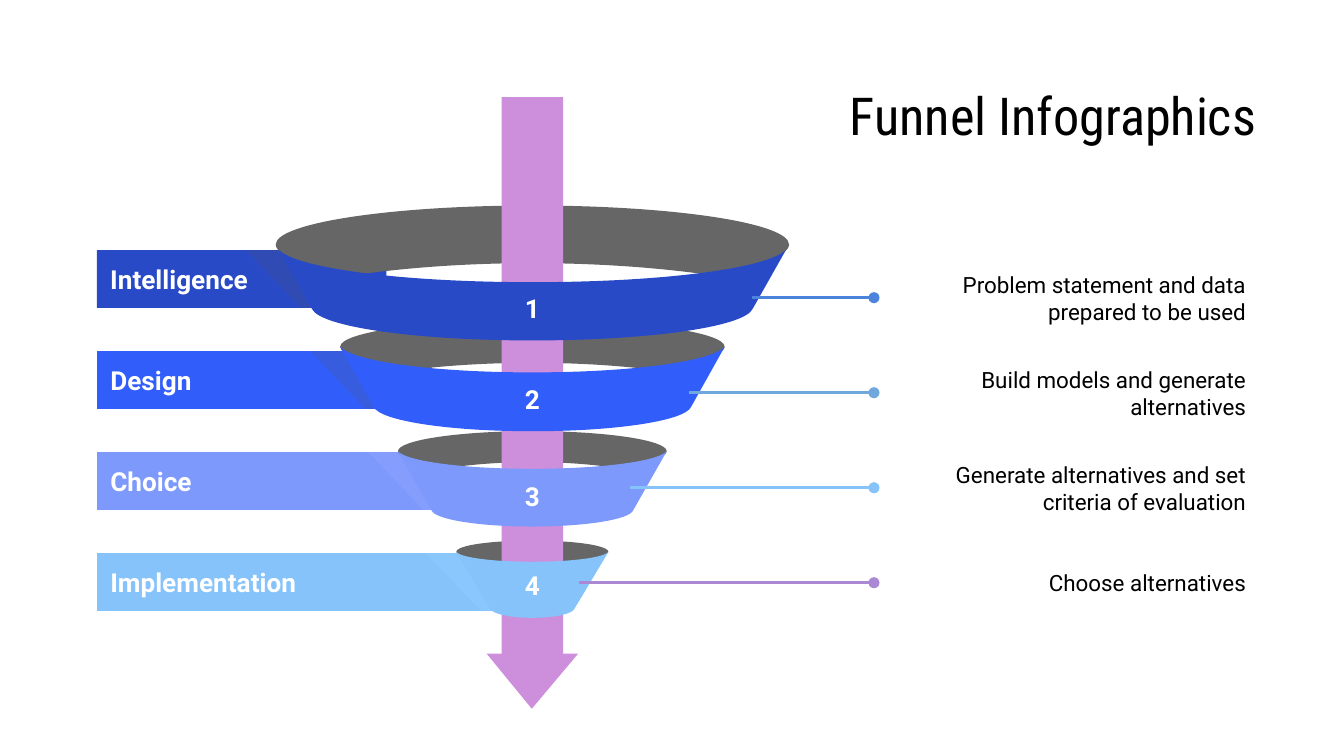
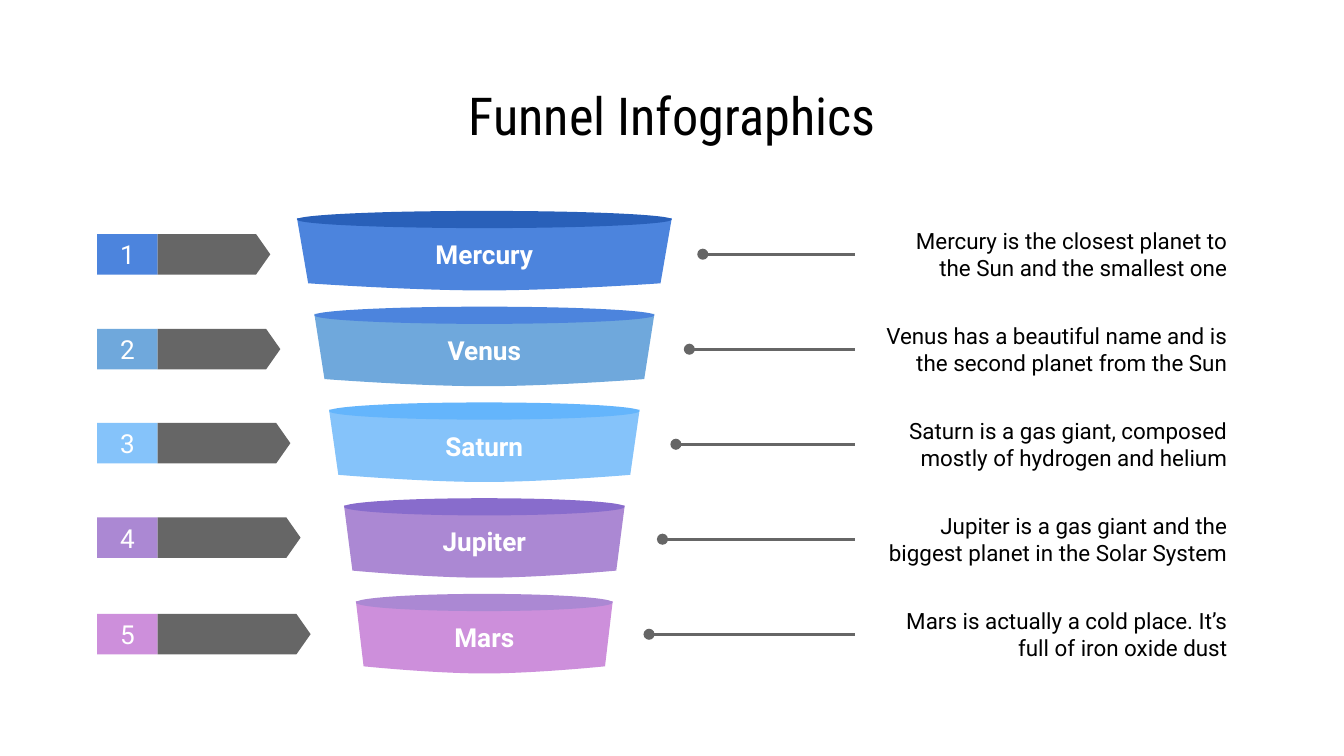
import dataclasses
import math

import lxml.etree
import pptx
import pptx.dml.color
import pptx.enum.shapes
import pptx.enum.text
import pptx.oxml.ns
import pptx.util

Pt = pptx.util.Pt
qn = pptx.oxml.ns.qn
SHAPES = pptx.enum.shapes.MSO_SHAPE
ALIGN = pptx.enum.text.PP_ALIGN


@dataclasses.dataclass(frozen=True)
class Theme:
    black: str = "000000"
    white: str = "FFFFFF"
    gray: str = "666666"
    shade: str = "595959"
    royal: str = "284AC7"
    bright: str = "315DFA"
    periwinkle: str = "7D99FB"
    periwinkle_fold: str = "859EFE"
    sky_fold: str = "89C7FD"
    navy: str = "2960B9"
    blue: str = "4C84DD"
    steel: str = "6FA8DC"
    sky: str = "85C3FA"
    deep_sky: str = "64B5FC"
    purple: str = "AB88D3"
    violet: str = "886CCC"
    orchid: str = "CD8FDB"
    title_font: str = "Roboto Condensed"
    body_font: str = "Roboto"
    title_size: float = 28
    label_size: float = 14
    note_size: float = 12
    line_width: float = 1.5


@dataclasses.dataclass(frozen=True)
class Box:
    left: float
    top: float
    width: float
    height: float

    @property
    def center(self):
        return self.left + self.width / 2

    @property
    def middle(self):
        return self.top + self.height / 2

    def lengths(self):
        return [Pt(value) for value in dataclasses.astuple(self)]


THEME = Theme()
INSET = 7.2
# Bezier handles of the right half of the top and foot edges, as shares of half width and depth
BOWL_CURVES = (((0.93, 0.58), (0.51, 1)), ((0.96, 0.57), (0.53, 1)))
CUP_CURVES = (((1, 0), (0.38, 1)), ((1, 0), (0.42, 1)))


def centered_box(center, top, half_width, height):
    return Box(center - half_width, top, 2 * half_width, height)


def set_attributes(target, values):
    for name, value in values.items():
        setattr(target, name, value)


def write(shape, text, align=ALIGN.CENTER, font=THEME.body_font, size=THEME.label_size,
          colour=THEME.white, bold=False, left=INSET, top=INSET, right=INSET):
    frame = shape.text_frame
    set_attributes(frame, {
        "word_wrap": True,
        "auto_size": pptx.enum.text.MSO_AUTO_SIZE.NONE,
        "vertical_anchor": pptx.enum.text.MSO_ANCHOR.MIDDLE,
        "margin_left": Pt(left),
        "margin_top": Pt(top),
        "margin_right": Pt(right),
        "margin_bottom": Pt(INSET),
    })
    paragraph = frame.paragraphs[0]
    paragraph.alignment = align
    run = paragraph.add_run()
    run.text = text
    set_attributes(run.font, {"name": font, "size": Pt(size), "bold": bold})
    run.font.color.rgb = pptx.dml.color.RGBColor.from_string(colour)


def paint(shape, colour, opacity=None):
    shape.shadow.inherit = False
    shape.line.fill.background()
    shape.fill.solid()
    shape.fill.fore_color.rgb = pptx.dml.color.RGBColor.from_string(colour)
    if opacity:
        solid = shape.fill._xPr.find(qn("a:solidFill"))
        lxml.etree.SubElement(solid[0], qn("a:alpha"), val=str(opacity * 1000))
    return shape


def add_preset(slide, kind, box, colour):
    return paint(slide.shapes.add_shape(kind, *box.lengths()), colour)


def add_outline(slide, start, segments, colour, opacity=None):
    """A closed outline; a segment of one point is a line, one of three points a Bezier curve."""
    builder = slide.shapes.build_freeform(Pt(start[0]), Pt(start[1]))
    builder.add_line_segments([(Pt(x), Pt(y)) for segment in segments for x, y in segment],
                              close=True)
    shape = builder.convert_to_shape()
    lines = iter(list(shape._element.iter(qn("a:lnTo"))))
    for segment in segments:
        first = next(lines)
        if len(segment) == 3:
            curve = lxml.etree.Element(qn("a:cubicBezTo"))
            first.addprevious(curve)
            for line in (first, next(lines), next(lines)):
                curve.append(line[0])
                line.getparent().remove(line)
    return paint(shape, colour, opacity)


def sagging_edge(center, top, half_width, depth, curve):
    """Two curves from center + half_width to center - half_width, hanging by depth."""
    (x1, y1), (x2, y2) = curve
    handle, low_handle = (x1 * half_width, top + y1 * depth), (x2 * half_width, top + y2 * depth)
    right = [handle, low_handle, (0, top + depth)]
    left = [(-low_handle[0], low_handle[1]), (-handle[0], handle[1]), (-half_width, top)]
    return [[(center + x, y) for x, y in segment] for segment in (right, left)]


def add_vessel(slide, box, taper, top_depth, foot_depth, curves, colour):
    """A tapered band with a sagging top and foot."""
    half_width = box.width / 2
    foot_half = half_width - taper
    foot = box.top + box.height - foot_depth
    top_curve, foot_curve = curves
    segments = [
        *sagging_edge(box.center, box.top, half_width, top_depth, top_curve),
        [(box.center - foot_half, foot)],
        *sagging_edge(box.center, foot, -foot_half, foot_depth, foot_curve),
    ]
    return add_outline(slide, (box.center + half_width, box.top), segments, colour)


def add_rim(slide, box, notch, hollow):
    """The inner wall above a bowl, hollowed out between its notches."""
    if not hollow:
        add_preset(slide, SHAPES.OVAL, box, THEME.gray)
        return
    angle = math.acos(notch)
    handle = 4 / 3 * math.tan(angle / 4)
    depth = math.sin(angle)
    gap = 2 * hollow / box.height
    quarter = 0.55
    left_half = [
        [(-quarter, -1), (-1, -quarter), (-1, 0)],
        [(-1, handle), (-notch - handle * depth, depth - handle * notch), (-notch, depth)],
        [(-0.73 * notch, gap + 0.43 * (depth - gap)), (-0.39 * notch, gap), (0, gap)],
    ]
    points = [(0, -1)] + [point for segment in left_half for point in segment]
    mirrored = [(-x, y) for x, y in reversed(points)][1:]
    around = points[1:] + mirrored
    placed = [(box.center + x * box.width / 2, box.middle + y * box.height / 2)
              for x, y in around]
    segments = [placed[index:index + 3] for index in range(0, len(placed), 3)]
    add_outline(slide, (box.center, box.top), segments, THEME.gray)


def add_slide(presentation, title_box):
    slide = presentation.slides.add_slide(presentation.slide_layouts.get_by_name("Title Only"))
    title = slide.shapes.title
    set_attributes(title, dict(zip(("left", "top", "width", "height"), title_box.lengths())))
    write(title, "Funnel Infographics", font=THEME.title_font, size=THEME.title_size,
          colour=THEME.black)
    return slide


def add_note(slide, box, text, line_end, colour, dot):
    """A right-aligned note with a leader line; dot names the end with the oval."""
    note = slide.shapes.add_textbox(*box.lengths())
    write(note, text, ALIGN.RIGHT, size=THEME.note_size, colour=THEME.black, left=14.4, right=10.8)
    leader = slide.shapes.add_connector(
        pptx.enum.shapes.MSO_CONNECTOR.STRAIGHT,
        Pt(box.left), Pt(box.middle), Pt(line_end), Pt(box.middle))
    leader.begin_connect(note, 1)
    leader.line.width = Pt(THEME.line_width)
    leader.line.color.rgb = pptx.dml.color.RGBColor.from_string(colour)
    lxml.etree.SubElement(leader.line._get_or_add_ln(), qn(f"a:{dot}"), type="oval")
    lxml.etree.SubElement(leader._element.spPr, qn("a:effectLst"))


def add_stage_label(slide, box, text, colour, fold_left, fold_colour, fold_opacity):
    label = add_preset(slide, SHAPES.RECTANGLE, box, colour)
    write(label, text, ALIGN.LEFT, bold=True)
    bottom = box.top + box.height
    add_outline(slide, (fold_left, box.top),
                [[(fold_left + 29.5, bottom)], [(fold_left + 35.5, bottom)],
                 [(fold_left + 18.7, box.top)]], fold_colour, fold_opacity)


def add_down_arrow(slide, box):
    head_height, shaft_width, overlap = 29.5, 33, 0.7
    add_preset(slide, SHAPES.RECTANGLE,
               centered_box(box.center, box.top, shaft_width / 2,
                            box.height - head_height + overlap), THEME.orchid)
    head = add_preset(slide, SHAPES.ISOSCELES_TRIANGLE,
                      Box(box.left, box.top + box.height - head_height, box.width, head_height),
                      THEME.orchid)
    head.rotation = 180
    head.adjustments[0] = 0.507


def build_bowl_slide(presentation):
    slide = add_slide(presentation, Box(429, 42.5, 270, 38))
    center = 285.2
    # text, colour, width, fold left, fold colour, fold opacity
    labels = [
        ("Intelligence", THEME.royal, 155, 131.8, THEME.shade, 17),
        ("Design", THEME.bright, 179.3, 166.3, THEME.shade, 17),
        ("Choice", THEME.periwinkle, 188.6, 197.3, THEME.periwinkle_fold, None),
        ("Implementation", THEME.sky, 217.4, 228.2, THEME.sky_fold, None),
    ]
    # half width, middle, half height, notch, hollow
    rims = [(137.5, 131, 20.9, 0.66, 10), (103, 185.8, 14.4, 0.58, 8.6),
            (72, 241.8, 10.8, 0.6, 5.8), (40.7, 295.6, 6, None, None)]
    # half width, top, height, top depth, foot depth, number inset
    bowls = [(136, 133.7, 48.7, 17.5, 16.8, 21.6), (103, 185.8, 45.2, 13.7, 13, 18),
             (72, 241.8, 40.3, 9.4, 8.6, 14.4), (40.7, 295.8, 35.2, 5.2, 5, INSET)]
    # text, line end, line colour
    notes = [
        ("Problem statement and data prepared to be used", 402.9, THEME.blue),
        ("Build models and generate alternatives", 369.1, THEME.steel),
        ("Generate alternatives and set criteria of evaluation", 337.7, THEME.sky),
        ("Choose alternatives", 310.3, THEME.purple),
    ]
    for index, (text, colour, width, *fold) in enumerate(labels):
        add_stage_label(slide, Box(52, 134 + 54.1 * index, width, 31), text, colour, *fold)
    for half_width, middle, half_height, notch, hollow in rims:
        add_rim(slide, centered_box(center, middle - half_height, half_width, 2 * half_height),
                notch, hollow)
    add_outline(slide, (304, 182), [[(280, 182)], [(304, 192)]], THEME.gray)
    add_down_arrow(slide, centered_box(center, 52, 24.5, 327.7))
    for index, (half_width, top, height, top_depth, foot_depth, inset) in enumerate(bowls):
        bowl = add_vessel(slide, centered_box(center, top, half_width, height), 18,
                          top_depth, foot_depth, BOWL_CURVES, labels[index][1])
        write(bowl, str(index + 1), bold=True, top=inset)
    for index, (text, line_end, colour) in enumerate(notes):
        add_note(slide, Box(468.2, 138 + 50.9 * index, 210.2, 43), text, line_end, colour,
                 "headEnd")


def add_number_tag(slide, box, number, colour):
    square_width = 32.5
    square = add_preset(slide, SHAPES.RECTANGLE,
                        Box(box.left, box.top, square_width, box.height), colour)
    write(square, str(number))
    pointer = add_preset(slide, SHAPES.PENTAGON,
                         Box(box.left + square_width, box.top, box.width - square_width,
                             box.height), THEME.gray)
    pointer.adjustments[0] = 0.35


def add_cup(slide, box, text, colour, lid_colour):
    lid_rise, lid_height, sag = 3.8, 9.2, 3.8
    body = add_vessel(slide, Box(box.left, box.top + lid_rise, box.width, box.height - lid_rise),
                      0.03 * box.width, sag, sag, CUP_CURVES, colour)
    write(body, text, bold=True)
    add_preset(slide, SHAPES.OVAL, Box(box.left, box.top, box.width, lid_height), lid_colour)


def build_cup_slide(presentation):
    slide = add_slide(presentation, Box(225, 42.5, 270, 38))
    # name, colour, lid colour, half width, tag top, note
    planets = [
        ("Mercury", THEME.blue, THEME.navy, 100.4, 125.4,
         "Mercury is the closest planet to the Sun and the smallest one"),
        ("Venus", THEME.steel, THEME.blue, 91.1, 176.2,
         "Venus has a beautiful name and is the second planet from the Sun"),
        ("Saturn", THEME.sky, THEME.deep_sky, 83.2, 226.6,
         "Saturn is a gas giant, composed mostly of hydrogen and helium"),
        ("Jupiter", THEME.purple, THEME.violet, 75.2, 277.2,
         "Jupiter is a gas giant and the biggest planet in the Solar System"),
        ("Mars", THEME.orchid, THEME.purple, 68.8, 328.9,
         "Mars is actually a cold place. It’s full of iron oxide dust"),
    ]
    for index, (name, colour, lid_colour, half_width, tag_top, note) in enumerate(planets):
        add_number_tag(slide, Box(52, tag_top, 92.8 + 5.4 * index, 21.7), index + 1, colour)
        add_cup(slide, centered_box(259.5, 113 + 51.3 * index, half_width, 42.6),
                name, colour, lid_colour)
        add_note(slide, Box(458, 114.7 + 50.9 * index, 210.4, 43), note,
                 376.5 - 7.2 * index, THEME.gray, "tailEnd")


def main():
    presentation = pptx.Presentation()
    set_attributes(presentation, {"slide_width": Pt(720), "slide_height": Pt(405)})
    build_bowl_slide(presentation)
    build_cup_slide(presentation)
    presentation.save("out.pptx")


if __name__ == "__main__":
    main()
